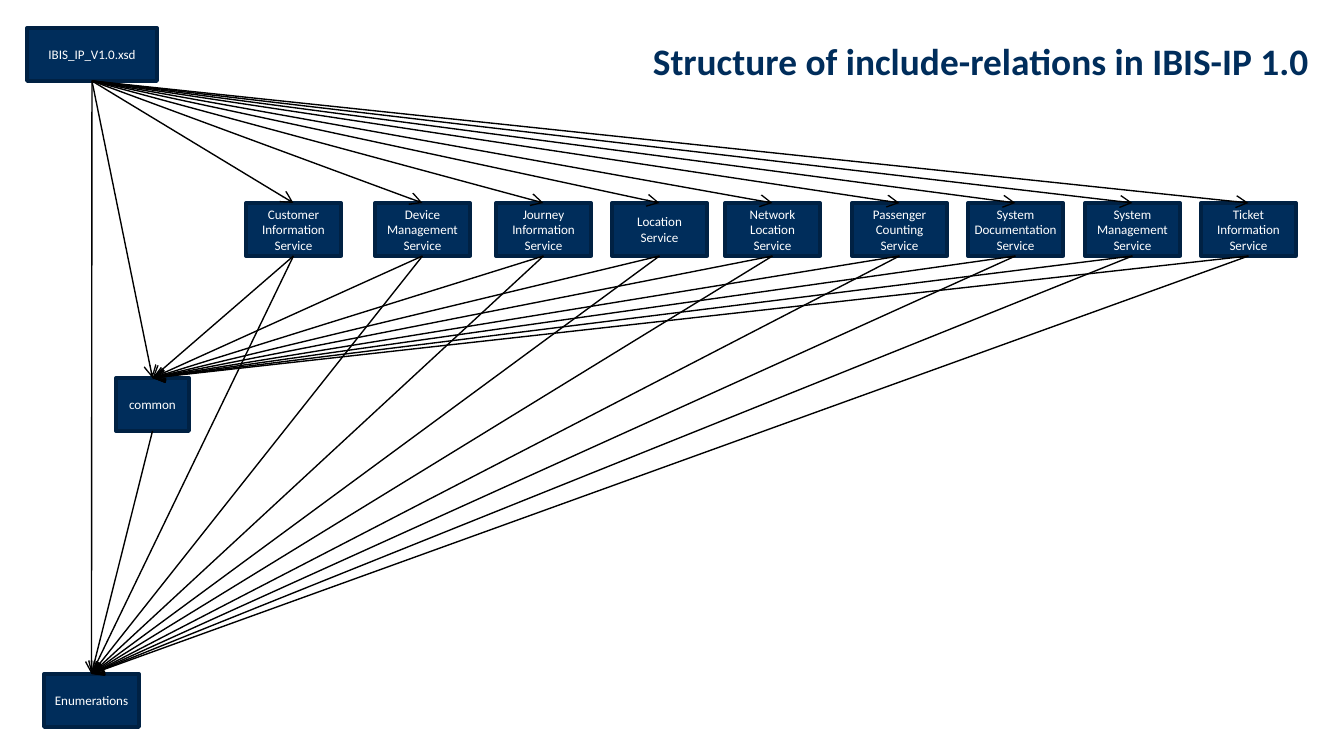
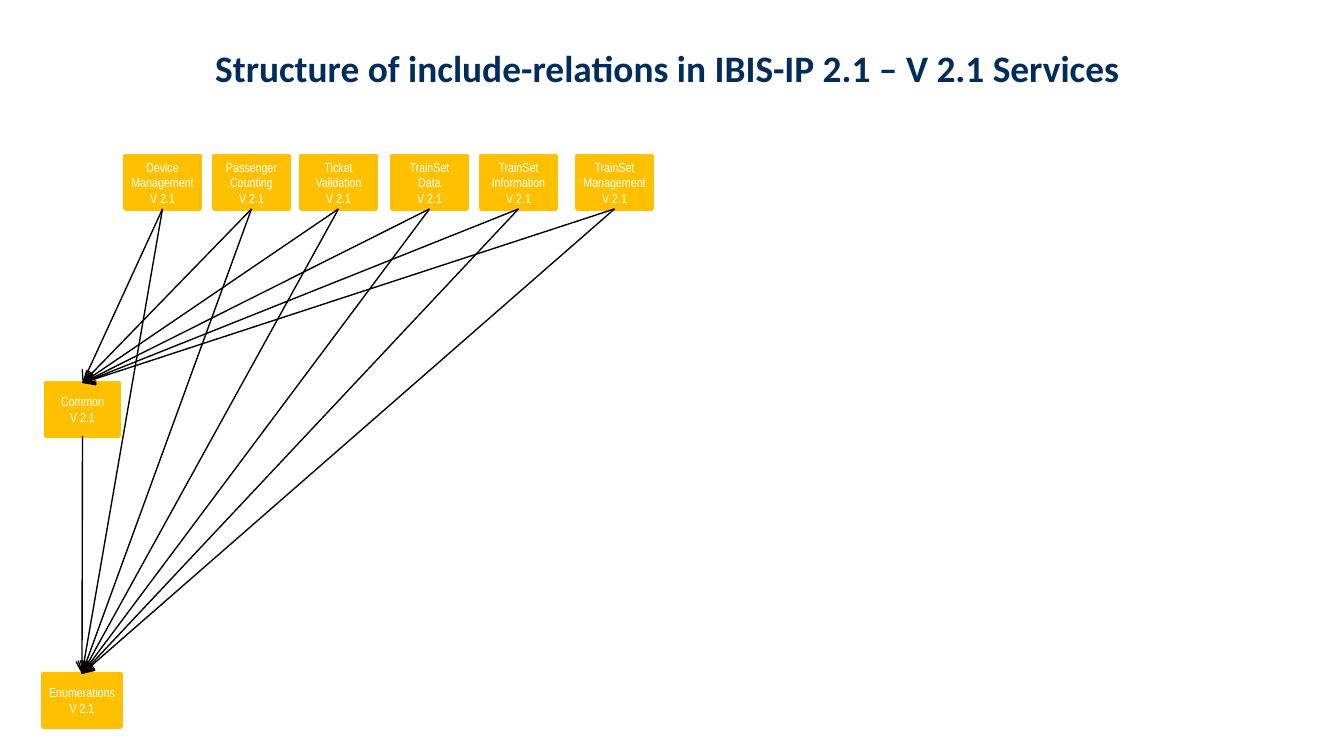
from lxml import etree
from pptx import Presentation
from pptx.dml.color import RGBColor
from pptx.enum import shapes, text
from pptx.oxml.ns import qn
from pptx.util import Emu, Pt

# Shared design: lengths are pixels at 134.4 per inch
PX = 914400 / 134.4
COLORS = {"navy": "002D5B", "navy_edge": "002143", "amber": "FFC000",
          "white": "FFFFFF", "black": "000000"}
NAVY_STYLE = dict(fill="navy", edge="navy_edge", font="Calibri", inset=5)
AMBER_STYLE = dict(fill="amber", edge="amber", font="Arial Narrow", inset=0)
BOX_H = 53
TOP, BOTTOM = 0, 2  # connection sites of a rectangle


def px(n):
    return Emu(round(n * PX))


def rgb(name):
    return RGBColor.from_string(COLORS[name])


def format_text(tf, font, size, color, bold=False):
    for p in tf.paragraphs:
        p.alignment = text.PP_ALIGN.CENTER
        for r in p.runs:
            r.font.name, r.font.size, r.font.bold = font, Pt(size), bold
            r.font.color.rgb = rgb(color)


def add_slide(prs, title, left, top, width, inset):
    """Add a slide with its title placed in the given band."""
    s = prs.slides.add_slide(prs.slide_layouts[5])
    sp = s.shapes.title
    sp.left, sp.top, sp.width, sp.height = map(px, (left, top, width, 91))
    tf = sp.text_frame
    tf.text = title
    tf.word_wrap = True
    tf.auto_size = text.MSO_AUTO_SIZE.NONE
    tf.vertical_anchor = text.MSO_ANCHOR.TOP
    tf.margin_left = tf.margin_right = px(inset)
    format_text(tf, "Calibri", 20, "navy", bold=True)
    return s


def add_box(s, label, left, top, width, style):
    sp = s.shapes.add_shape(shapes.MSO_SHAPE.RECTANGLE,
                            *map(px, (left, top, width, BOX_H)))
    sp.shadow.inherit = False
    sp.fill.solid()
    sp.fill.fore_color.rgb = rgb(style["fill"])
    sp.line.color.rgb = rgb(style["edge"])
    sp.line.width = Pt(2)
    tf = sp.text_frame
    tf.text = label
    tf.word_wrap = True
    tf.vertical_anchor = text.MSO_ANCHOR.MIDDLE
    tf.margin_left = tf.margin_right = px(style["inset"])
    format_text(tf, style["font"], 7, "white")
    return sp


def add_include(s, source, target):
    """Draw an arrow from the bottom of one box to the top of another."""
    line = s.shapes.add_connector(shapes.MSO_CONNECTOR.STRAIGHT, 0, 0, 0, 0)
    line.begin_connect(source, BOTTOM)
    line.end_connect(target, TOP)
    line.line.color.rgb = rgb("black")
    line.line.width = Pt(0.75)
    etree.SubElement(line.line._get_or_add_ln(), qn("a:tailEnd"), type="arrow")
    etree.SubElement(line._element.spPr, qn("a:effectLst"))


def add_services(s, services, top, width, style):
    return [add_box(s, label, left, top, width, style)
            for label, left in services]


def add_base_includes(s, services, common, enums):
    """Every service includes both base files; common includes enumerations."""
    add_include(s, common, enums)
    for service in services:
        add_include(s, service, common)
        add_include(s, service, enums)


def build_v10(prs):
    s = add_slide(prs, "Structure of include-relations in IBIS-IP 1.0",
                  618, 31, 726, 13)
    names = [("Customer\nInformation", 246), ("Device\nManagement", 375),
             ("Journey\nInformation", 496), ("Location", 612),
             ("Network\nLocation", 725), ("Passenger\nCounting", 852),
             ("System\nDocumentation", 968), ("System\nManagement", 1085),
             ("Ticket\nInformation", 1201)]
    common = add_box(s, "common", 116, 378, 73, NAVY_STYLE)
    enums = add_box(s, "Enumerations", 44, 674, 95, NAVY_STYLE)
    schema = add_box(s, "IBIS_IP_V1.0.xsd", 27, 28, 130, NAVY_STYLE)
    services = add_services(s, [(n + "\nService", x) for n, x in names],
                            203, 95, NAVY_STYLE)
    # The schema includes everything
    for target in [common, enums, *services]:
        add_include(s, schema, target)
    add_base_includes(s, services, common, enums)


def build_v21(prs):
    s = add_slide(prs, "Structure of include-relations in IBIS-IP 2.1 "
                  "– V 2.1 Services ", 0, 38, 1344, 0)
    version = "\nV 2.1"
    names = [("Device\vManagement", 125), ("Passenger\vCounting", 214),
             ("Ticket\vValidation", 301), ("TrainSet\vData", 392),
             ("TrainSet\vInformation", 481), ("TrainSet\vManagement", 577)]
    common = add_box(s, "Common" + version, 46, 383, 73, AMBER_STYLE)
    enums = add_box(s, "Enumerations" + version, 43, 674, 78, AMBER_STYLE)
    services = add_services(s, [(n + version, x) for n, x in names],
                            156, 75, AMBER_STYLE)
    add_base_includes(s, services, common, enums)


def main():
    prs = Presentation()
    prs.slide_width, prs.slide_height = px(1344), px(756)
    build_v10(prs)
    build_v21(prs)
    prs.save("out.pptx")


main()
